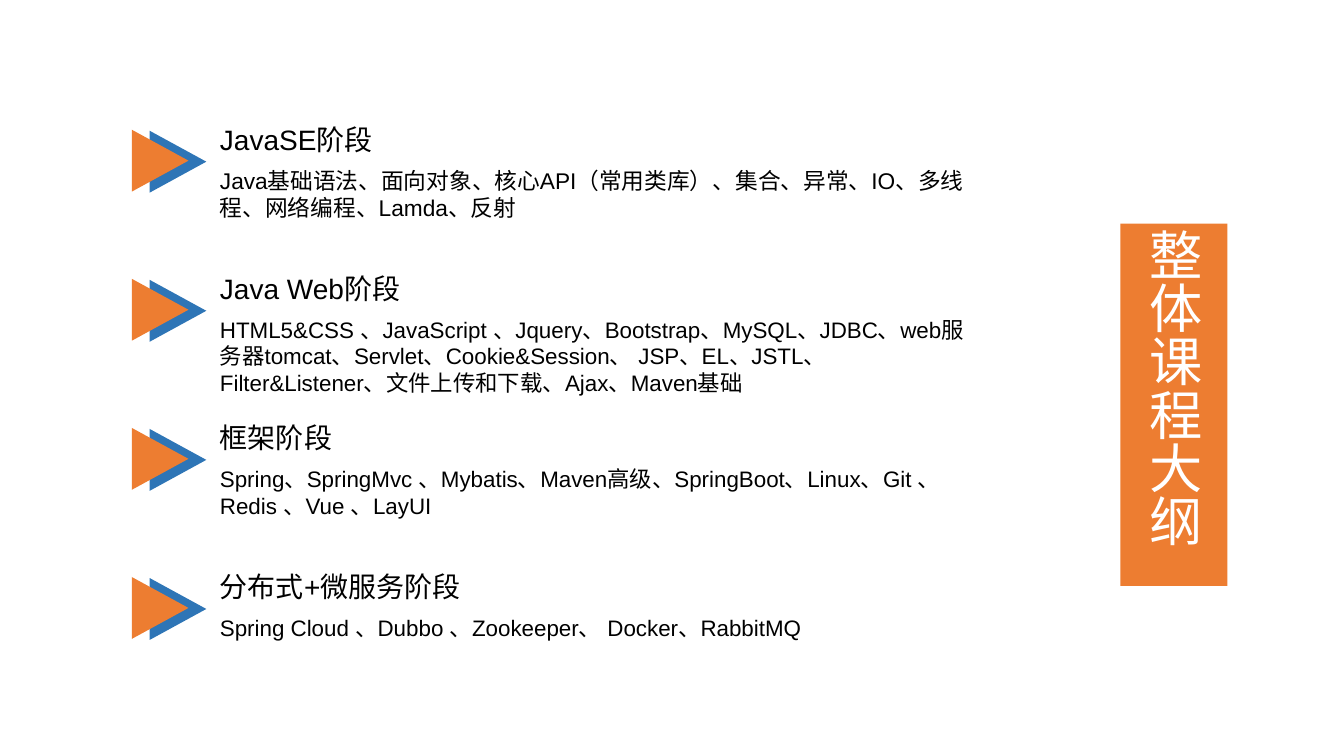
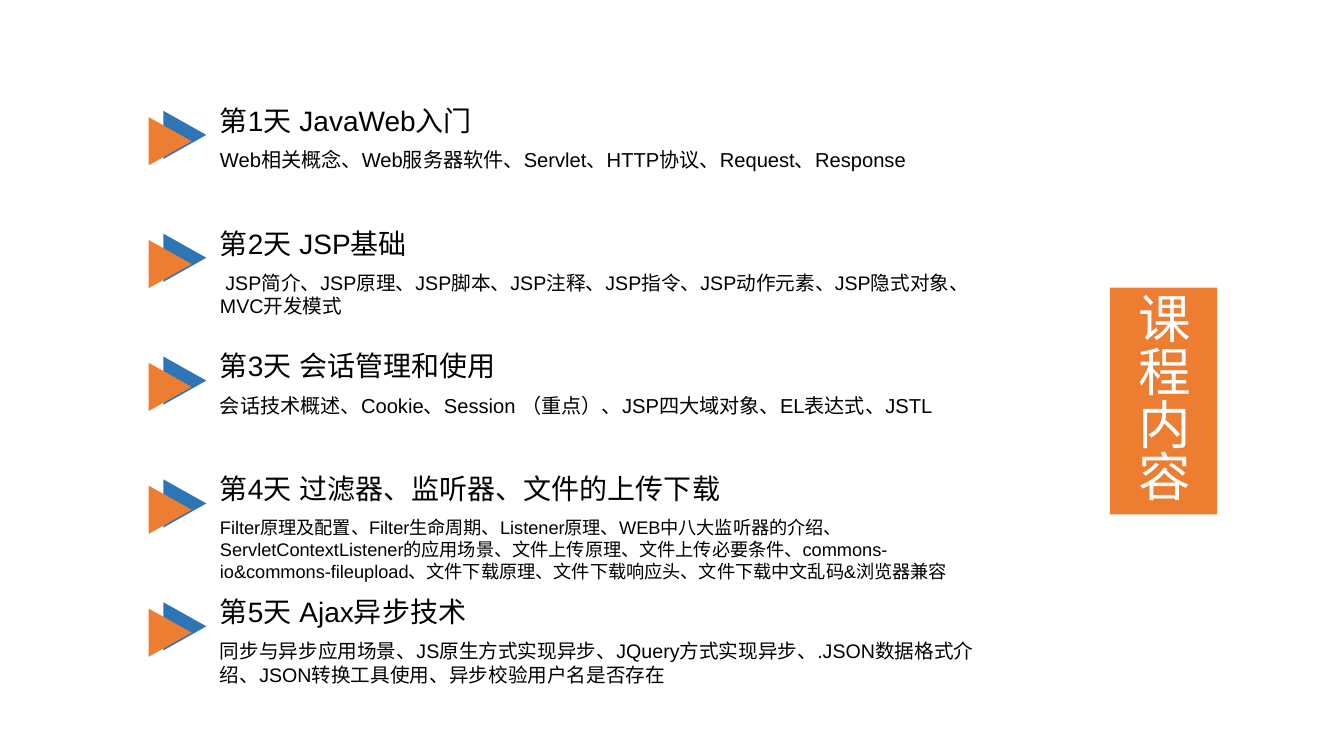
import dataclasses

import lxml.etree
import pptx
import pptx.dml.color
import pptx.enum.shapes
import pptx.enum.text
import pptx.oxml.ns
import pptx.util

EMU_PER_PX = 9525


@dataclasses.dataclass(frozen=True)
class Theme:
    font: str = "Arial"
    accent: str = "ED7D31"
    shade: str = "2E75B6"
    text: str = "000000"
    light: str = "FFFFFF"
    heading_size: float = 20
    body_size: float = 16
    small_body_size: float = 14


THEME = Theme()


@dataclasses.dataclass(frozen=True)
class Box:
    left: int
    top: int
    width: int
    height: int

    def emu(self):
        return [px(side) for side in dataclasses.astuple(self)]


@dataclasses.dataclass(frozen=True)
class Outline:
    title: str
    title_size: float
    banner: Box
    first_row: Box
    pitch: int
    body_height: int
    back_arrow: Box
    front_arrow: Box
    body_size: float
    topics: tuple


@dataclasses.dataclass(frozen=True)
class Topic:
    heading: str
    body: str
    size: float = 0
    height: int = 0


def px(length):
    return pptx.util.Emu(length * EMU_PER_PX)


def rgb(colour):
    return pptx.dml.color.RGBColor.from_string(colour)


def write_text(shape, text, *, size, colour=THEME.text, anchor="TOP", vertical=False):
    frame = shape.text_frame
    frame.word_wrap = True
    frame.auto_size = pptx.enum.text.MSO_AUTO_SIZE.NONE
    frame.vertical_anchor = pptx.enum.text.MSO_ANCHOR[anchor]
    frame.margin_left = frame.margin_right = pptx.util.Inches(0.1)
    frame.margin_top = frame.margin_bottom = pptx.util.Inches(0.05)
    if vertical:
        frame._txBody.bodyPr.set("vert", "eaVert")
    paragraph = frame.paragraphs[0]
    paragraph.alignment = pptx.enum.text.PP_ALIGN.LEFT
    run = paragraph.add_run()
    run.text = text
    run.font.size = pptx.util.Pt(size)
    run.font.color.rgb = rgb(colour)
    run.font.name = THEME.font
    east_asian = lxml.etree.SubElement(
        run._r.get_or_add_rPr(), pptx.oxml.ns.qn("a:ea")
    )
    east_asian.set("typeface", THEME.font)


def place_banner(slide, box, title, size):
    banner = slide.shapes.title
    banner.left, banner.top, banner.width, banner.height = box.emu()
    banner.fill.solid()
    banner.fill.fore_color.rgb = rgb(THEME.accent)
    write_text(banner, title, size=size, colour=THEME.light,
               anchor="MIDDLE", vertical=True)


def add_arrow(slide, row, offset, colour):
    box = Box(row.left + offset.left, row.top + offset.top,
              offset.width, offset.height)
    arrow = slide.shapes.add_shape(
        pptx.enum.shapes.MSO_SHAPE.ISOSCELES_TRIANGLE, *box.emu()
    )
    arrow.rotation = 90
    arrow.shadow.inherit = False
    arrow.fill.solid()
    arrow.fill.fore_color.rgb = rgb(colour)
    arrow.line.fill.background()


def add_topic(slide, row, topic, outline):
    add_arrow(slide, row, outline.back_arrow, THEME.shade)
    add_arrow(slide, row, outline.front_arrow, THEME.accent)
    heading = slide.shapes.add_textbox(*row.emu())
    write_text(heading, topic.heading, size=THEME.heading_size, anchor="BOTTOM")
    body_box = Box(row.left, row.top + row.height + 1, row.width,
                   topic.height or outline.body_height)
    body = slide.shapes.add_textbox(*body_box.emu())
    write_text(body, topic.body, size=topic.size or outline.body_size)


def add_outline_slide(presentation, outline):
    slide = presentation.slides.add_slide(
        presentation.slide_layouts.get_by_name("Title Only")
    )
    place_banner(slide, outline.banner, outline.title, outline.title_size)
    for index, topic in enumerate(outline.topics):
        row = dataclasses.replace(
            outline.first_row, top=outline.first_row.top + index * outline.pitch
        )
        add_topic(slide, row, topic, outline)


COURSE_STAGES = Outline(
    title="整体课程大纲",
    title_size=38,
    banner=Box(1067, 213, 102, 345),
    first_row=Box(200, 93, 744, 60),
    pitch=142,
    body_height=60,
    back_arrow=Box(-60, 34, 59, 54),
    front_arrow=Box(-77, 33, 59, 54),
    body_size=THEME.body_size,
    topics=(
        Topic("JavaSE阶段",
              "Java基础语法、面向对象、核心API（常用类库）、集合、异常、IO、"
              "多线程、网络编程、Lamda、反射", size=16.2),
        Topic("Java Web阶段",
              "HTML5&CSS 、JavaScript 、Jquery、Bootstrap、MySQL、JDBC、"
              "web服务器tomcat、Servlet、Cookie&Session、 JSP、EL、JSTL、"
              "Filter&Listener、文件上传和下载、Ajax、Maven基础", height=91),
        Topic("框架阶段",
              "Spring、SpringMvc 、Mybatis、Maven高级、SpringBoot、Linux、"
              "Git 、Redis 、Vue 、LayUI"),
        Topic("分布式+微服务阶段",
              "Spring Cloud 、Dubbo 、Zookeeper、 Docker、RabbitMQ"),
    ),
)

COURSE_DAYS = Outline(
    title="课程内容",
    title_size=37.5,
    banner=Box(1057, 274, 102, 216),
    first_row=Box(200, 85, 744, 50),
    pitch=117,
    body_height=49,
    back_arrow=Box(-47, 23, 46, 41),
    front_arrow=Box(-61, 29, 46, 41),
    body_size=THEME.small_body_size,
    topics=(
        Topic("第1天 JavaWeb入门",
              "Web相关概念、Web服务器软件、Servlet、HTTP协议、Request、Response",
              size=14.4),
        Topic("第2天 JSP基础",
              " JSP简介、JSP原理、JSP脚本、JSP注释、JSP指令、JSP动作元素、"
              "JSP隐式对象、 MVC开发模式"),
        Topic("第3天 会话管理和使用",
              "会话技术概述、Cookie、Session （重点）、JSP四大域对象、"
              "EL表达式、JSTL", size=14.4),
        Topic("第4天 过滤器、监听器、文件的上传下载",
              "Filter原理及配置、Filter生命周期、Listener原理、"
              "WEB中八大监听器的介绍、ServletContextListener的应用场景、"
              "文件上传原理、文件上传必要条件、commons-io&commons-fileupload、"
              "文件下载原理、文件下载响应头、文件下载中文乱码&浏览器兼容",
              size=13, height=67),
        Topic("第5天 Ajax异步技术",
              "同步与异步应用场景、JS原生方式实现异步、JQuery方式实现异步、"
              ".JSON数据格式介绍、JSON转换工具使用、异步校验用户名是否存在"),
    ),
)


def main():
    presentation = pptx.Presentation()
    presentation.slide_width = px(1280)
    presentation.slide_height = px(720)
    for outline in (COURSE_STAGES, COURSE_DAYS):
        add_outline_slide(presentation, outline)
    presentation.save("out.pptx")


if __name__ == "__main__":
    main()
